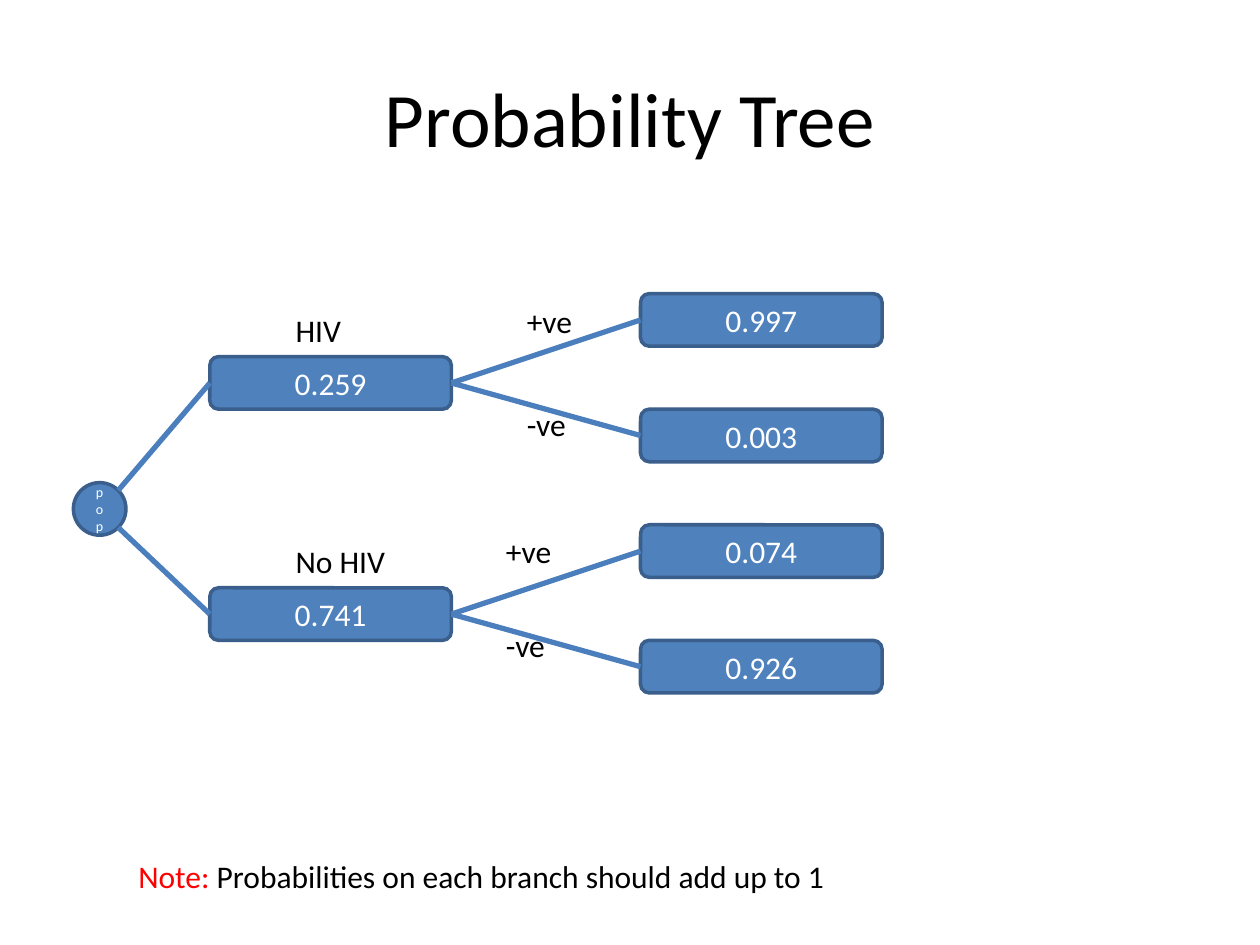
from math import sqrt

from lxml.etree import SubElement
from pptx import Presentation
from pptx.dml.color import RGBColor
from pptx.enum.shapes import MSO_CONNECTOR as CXN, MSO_SHAPE as SHAPE
from pptx.enum.text import MSO_ANCHOR as ANCHOR, MSO_AUTO_SIZE as FIT, PP_ALIGN as ALIGN
from pptx.oxml.ns import qn
from pptx.util import Cm, Pt

BLUE = RGBColor(0x4F, 0x81, 0xBD)
EDGE = RGBColor(0x3A, 0x5F, 0x8C)
LINK = RGBColor(0x4B, 0x7E, 0xBC)
BLACK = RGBColor(0, 0, 0)
WHITE = RGBColor(255, 255, 255)
RED = RGBColor(255, 0, 0)

NODE_W, NODE_H = 4.87, 1.06
LEAF_DX = 10.94
LEAF_DY = (-1.27, 1.06)
LEFT, RIGHT = 1, 3


def set_attrs(obj, **values):
    """Set every given attribute on obj."""
    for name, value in values.items():
        setattr(obj, name, value)


def add_run(p, text, color, size=18):
    """Append a formatted run to a paragraph."""
    r = p.add_run()
    r.text = text
    set_attrs(r.font, name="Calibri", size=Pt(size), bold=False)
    r.font.color.rgb = color


def add_title(s, text, x, y, w, h):
    """Place and format the title placeholder."""
    sp = s.shapes.title
    set_attrs(sp, left=Cm(x), top=Cm(y), width=Cm(w), height=Cm(h))
    tf = sp.text_frame
    tf.vertical_anchor = ANCHOR.MIDDLE
    p = tf.paragraphs[0]
    p.alignment = ALIGN.CENTER
    add_run(p, text, BLACK, 44)


def add_label(s, x, y, w, *parts):
    """Add a one-line text box of (text, colour) parts."""
    tf = s.shapes.add_textbox(Cm(x), Cm(y), Cm(w), Cm(1.02)).text_frame
    set_attrs(tf, word_wrap=False, auto_size=FIT.SHAPE_TO_FIT_TEXT)
    for text, color in parts:
        add_run(tf.paragraphs[0], text, color)


def add_node(s, text, x, y, w=NODE_W, kind=SHAPE.ROUNDED_RECTANGLE, size=18):
    """Add a filled tree node with centred text."""
    sp = s.shapes.add_shape(kind, Cm(x), Cm(y), Cm(w), Cm(NODE_H))
    sp.shadow.inherit = False
    sp.fill.solid()
    sp.fill.fore_color.rgb = BLUE
    sp.line.color.rgb = EDGE
    sp.line.width = Pt(2)
    tf = sp.text_frame
    set_attrs(tf, word_wrap=True, vertical_anchor=ANCHOR.MIDDLE)
    p = tf.paragraphs[0]
    p.alignment = ALIGN.CENTER
    add_run(p, text, WHITE, size)
    return sp


def add_link(s, x, y, target):
    """Draw a line from a point to the left side of a node."""
    cxn = s.shapes.add_connector(CXN.STRAIGHT, Cm(x), Cm(y), Cm(x), Cm(y))
    cxn.end_connect(target, LEFT)
    cxn.line.color.rgb = LINK
    cxn.line.width = Pt(3)
    SubElement(cxn._element.spPr, qn("a:effectLst"))
    return cxn


def add_branch(s, x, y, name, name_w, value, leaves, sign_dx, sign_dy):
    """Add a node with its name, its two leaves and their sign labels."""
    node = add_node(s, value, x, y)
    add_label(s, x + 1.48, y - 1.05, name_w, (name, BLACK))
    signs = (("+ve", 1.45), ("-ve", 1.32))
    for leaf, dy, (sign, w), label_dy in zip(leaves, LEAF_DY, signs, sign_dy):
        target = add_node(s, leaf, x + LEAF_DX / 1.26, y + dy)
        add_link(s, x + NODE_W, y + NODE_H / 2, target).begin_connect(node, RIGHT)
        add_label(s, x + sign_dx, y + label_dy, w, (sign, BLACK))
    return node


def add_tree(s, x, y):
    """Add the root circle and both branches, from the top left of the tree."""
    root_y = y + 3.81
    add_node(s, "pop", x, root_y, NODE_H, SHAPE.OVAL, 8)
    radius = NODE_H / 2
    reach = radius / sqrt(2)
    branches = (
        (1.27, -1, "HIV", 1.45, "0.259", ("0.997", "0.003"), 6.14, (-1.22, 0.86)),
        (5.93, 1, "No HIV", 2.34, "0.741", ("0.074", "0.926"), 5.72, (-1.24, 0.64)),
    )
    for dy, side, *branch in branches:
        node = add_branch(s, x + 2.75, y + dy, *branch)
        add_link(s, x + radius + reach, root_y + radius + side * reach, node)


prs = Presentation()
set_attrs(prs, slide_width=Cm(25.4), slide_height=Cm(19.05))
s = prs.slides.add_slide(prs.slide_layouts[5])
add_title(s, "Probability Tree", 1.27, 0.76, 22.86, 3.18)
add_tree(s, 1.48, 5.92)
add_label(s, 2.54, 17.15, 14.53, ("Note: ", RED),
          ("Probabilities on each branch should add up to 1", BLACK))
prs.save("out.pptx")
